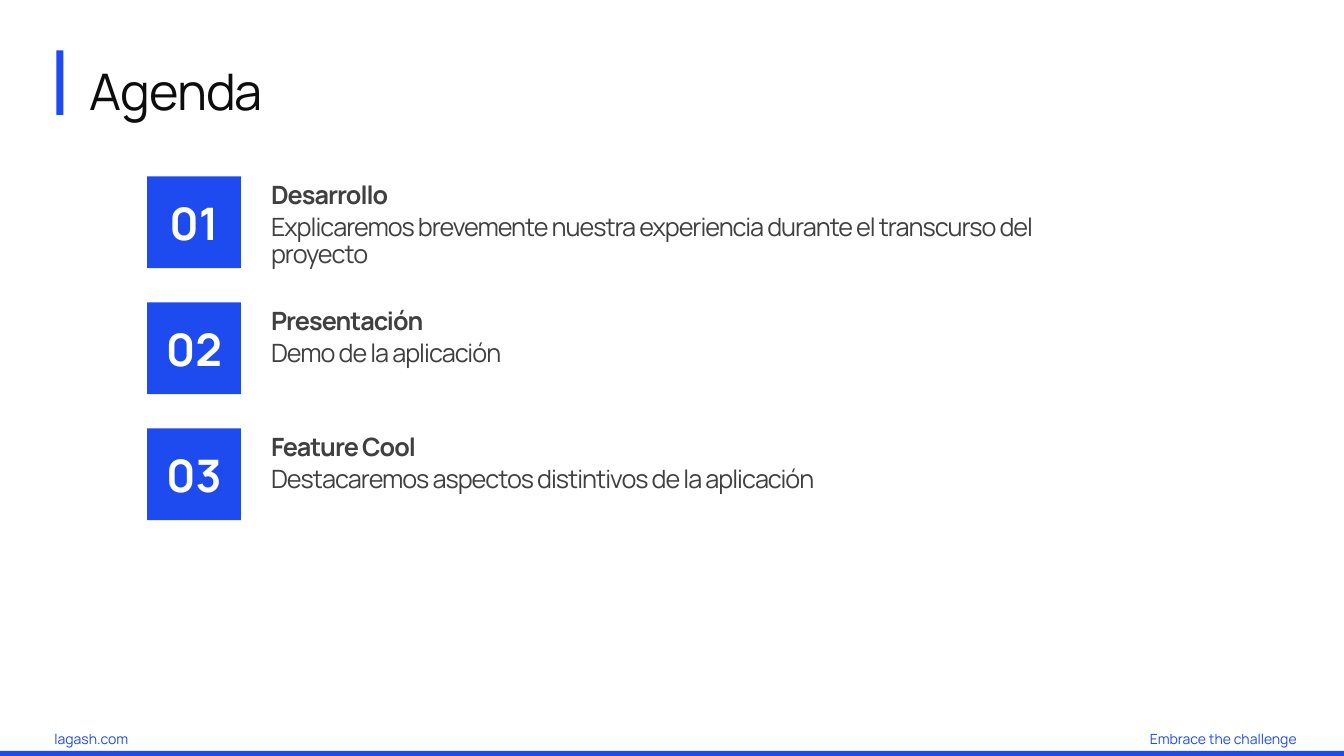
"""Build the agenda slide with three numbered topics."""
from dataclasses import dataclass
from typing import NamedTuple

from pptx import Presentation
from pptx.dml.color import RGBColor as Rgb
from pptx.enum.shapes import MSO_SHAPE as Kind
from pptx.enum.text import MSO_ANCHOR as Anchor, MSO_AUTO_SIZE as Fit, PP_ALIGN as Align
from pptx.shapes.autoshape import Shape
from pptx.slide import Slide
from pptx.text.text import TextFrame as Frame, _Paragraph as Para
from pptx.util import Inches, Pt


@dataclass(frozen=True)
class Theme:
    font: str = "Manrope"
    blue: str = "1D4BF1"
    tile: str = "1E4BF0"
    ink: str = "0D0D0D"
    gray: str = "404040"
    white: str = "FFFFFF"
    head: int = 36
    number: int = 32
    body: int = 18
    foot: int = 10
    tight: int = -70


class Box(NamedTuple):
    left: float
    top: float
    width: float
    height: float


class Topic(NamedTuple):
    name: str
    detail: str


class Note(NamedTuple):
    text: str
    box: Box
    align: Align


THEME = Theme()
TOPICS = [
    Topic("Desarrollo", "Explicaremos brevemente nuestra experiencia durante el transcurso del proyecto"),
    Topic("Presentación", "Demo de la aplicación"),
    Topic("Feature Cool", "Destacaremos aspectos distintivos de la aplicación"),
]
NOTES = [
    Note("lagash.com", Box(0.54, 7.25, 2.48, 0.17), Align.LEFT),
    Note("Embrace the challenge", Box(11.09, 7.25, 1.77, 0.17), Align.RIGHT),
]
BARS = [Box(0, 7.45, 13.33, 0.05), Box(0.56, 0.5, 0.07, 0.64)]
TOP, STEP = 1.75, 1.25


def place(box: Box) -> list[int]:
    """Return the box edges as lengths."""
    return [Inches(side) for side in box]


def style(para: Para, size: int, color: str, bold: bool = False, track: int = 0) -> None:
    """Format the runs of a paragraph."""
    for run in para.runs:
        font = run.font
        font.name, font.size, font.bold = THEME.font, Pt(size), bold
        font.color.rgb = Rgb.from_string(color)
        if track:
            run._r.get_or_add_rPr().set("spc", str(track))


def inset(frame: Frame, pad: float) -> None:
    """Set one margin on all four sides."""
    frame.margin_left = frame.margin_right = Inches(pad)
    frame.margin_top = frame.margin_bottom = Inches(pad)


def add_rect(slide: Slide, box: Box, color: str) -> Shape:
    """Draw a plain filled rectangle."""
    rect = slide.shapes.add_shape(Kind.RECTANGLE, *place(box))
    rect.shadow.inherit = False
    rect.fill.solid()
    rect.fill.fore_color.rgb = Rgb.from_string(color)
    rect.line.fill.background()
    return rect


def add_text(slide: Slide, box: Box) -> Frame:
    """Add a wrapping text box."""
    frame = slide.shapes.add_textbox(*place(box)).text_frame
    frame.word_wrap = True
    return frame


def add_note(slide: Slide, note: Note) -> None:
    """Add a footer line."""
    frame = add_text(slide, note.box)
    inset(frame, 0)
    frame.text = note.text
    para = frame.paragraphs[0]
    para.alignment = note.align
    style(para, THEME.foot, THEME.blue)


def add_title(slide: Slide, text: str) -> None:
    """Fill and place the title."""
    title = slide.shapes.title
    title.left, title.top, title.width, title.height = place(Box(0.79, 0.5, 12.09, 0.86))
    frame = title.text_frame
    frame.text = text
    frame.auto_size, frame.vertical_anchor = Fit.NONE, Anchor.MIDDLE
    para = frame.paragraphs[0]
    para.alignment, para.line_spacing = Align.LEFT, 0.9
    style(para, THEME.head, THEME.ink, track=THEME.tight)


def add_topic(slide: Slide, index: int, topic: Topic) -> None:
    """Draw a numbered tile with its name and detail."""
    top = TOP + index * STEP
    tile = add_rect(slide, Box(1.46, top, 0.93, 0.91), THEME.tile).text_frame
    inset(tile, 0.05)
    tile.vertical_anchor = Anchor.MIDDLE
    tile.text = f"{index + 1:02}"
    label = tile.paragraphs[0]
    label.alignment = Align.CENTER
    style(label, THEME.number, THEME.white, bold=True)

    frame = add_text(slide, Box(2.59, top + 0.01, 8.1, 0.88))
    frame.text = "\n".join(topic)
    name, detail = frame.paragraphs
    name.line_spacing = detail.line_spacing = 0.9
    detail.space_before = Pt(3.6)
    style(name, THEME.body, THEME.gray, bold=True, track=THEME.tight)
    style(detail, THEME.body, THEME.gray, track=THEME.tight)


def main() -> None:
    """Build and save the slide."""
    deck = Presentation()
    deck.slide_width, deck.slide_height = Inches(13.33), Inches(7.5)
    slide = deck.slides.add_slide(deck.slide_layouts.get_by_name("Title Only"))
    for note in NOTES:
        add_note(slide, note)
    for bar in BARS:
        add_rect(slide, bar, THEME.blue)
    add_title(slide, "Agenda")
    for index, topic in enumerate(TOPICS):
        add_topic(slide, index, topic)
    deck.save("out.pptx")


if __name__ == "__main__":
    main()
